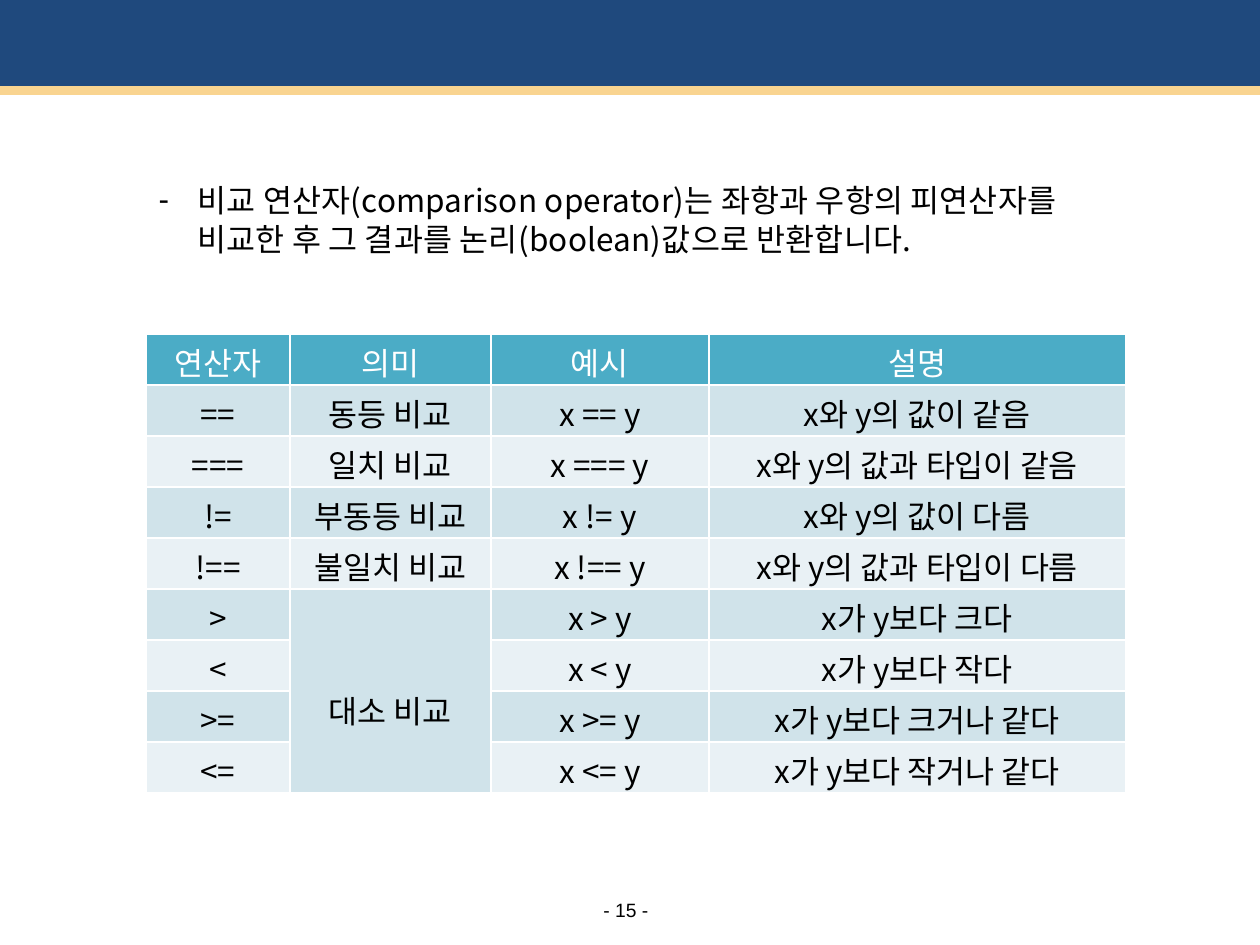
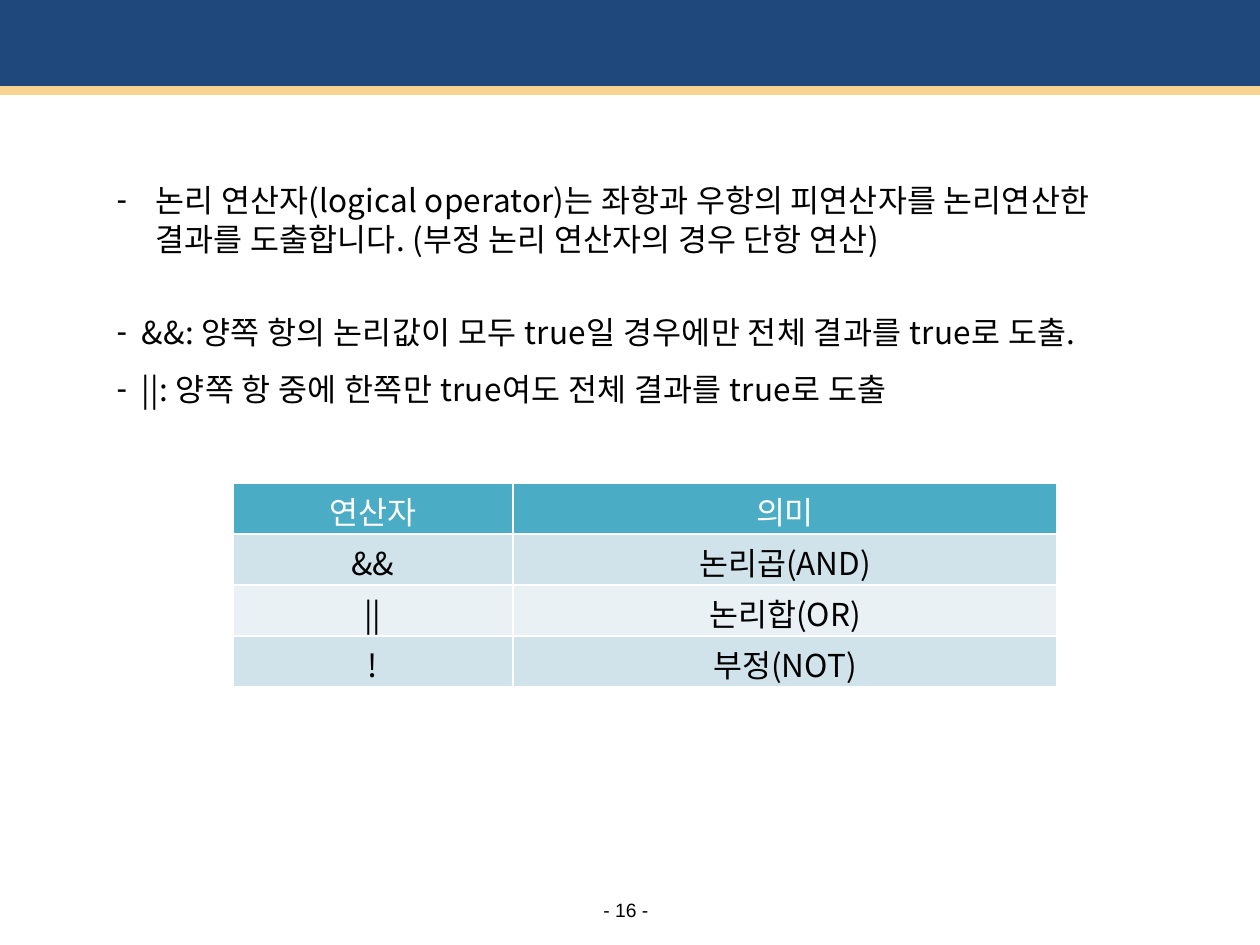
from dataclasses import dataclass

from lxml import etree
from pptx import Presentation
from pptx.dml.color import RGBColor
from pptx.enum.shapes import MSO_SHAPE
from pptx.enum.text import MSO_ANCHOR, MSO_AUTO_SIZE, PP_ALIGN
from pptx.oxml.ns import qn
from pptx.util import Emu, Pt

RECTANGLE = MSO_SHAPE.RECTANGLE
MIDDLE, TOP = MSO_ANCHOR.MIDDLE, MSO_ANCHOR.TOP
LEFT, CENTER = PP_ALIGN.LEFT, PP_ALIGN.CENTER
NO_AUTOFIT = MSO_AUTO_SIZE.NONE

PIXELS_PER_INCH = 126
SLIDE_WIDTH, SLIDE_HEIGHT = 1260, 945
TITLE_AND_CONTENT = 1
KOREAN_FONT, NUMBER_FONT = "Noto Sans CJK KR", "Arial"
TEXT_SIZE, LINE_HEIGHT = 18, 22
NAVY, GOLD = "1F497D", "F9D490"
TEAL, DARK_ROW, LIGHT_ROW = "4BACC6", "D0E3EA", "E9F1F5"
WHITE, BLACK = "FFFFFF", "000000"
ROW_HEIGHT = 51
CELL_TOP_MARGIN = 12
SPAN_TOP_MARGIN = 44


@dataclass(frozen=True)
class Box:
    left: int
    top: int
    width: int
    height: int


@dataclass(frozen=True)
class Band:
    box: Box
    color: str


@dataclass(frozen=True)
class Bullet:
    text: str
    indent: int = 39
    space_before: float = 0
    letter_spacing: int = 12


@dataclass(frozen=True)
class OperatorTable:
    left: int
    top: int
    column_widths: list[int]
    rows: list[list[str]]
    span: tuple[int, int, int] | None = None


@dataclass(frozen=True)
class OperatorSlide:
    number: int
    body_box: Box
    bullets: list[Bullet]
    table: OperatorTable


BANDS = [
    Band(Box(0, 0, SLIDE_WIDTH, 92), NAVY),
    Band(Box(0, 86, SLIDE_WIDTH, 9), GOLD),
]
NUMBER_BOX = Box(599, 898, 54, 24)

SLIDES = [
    OperatorSlide(
        15,
        Box(146, 174, 980, 90),
        [Bullet("비교 연산자(comparison operator)는 좌항과 우항의 피연산자를 "
                "비교한 후 그 결과를 논리(boolean)값으로 반환합니다.")],
        OperatorTable(
            146, 334, [144, 201, 218, 417],
            [
                ["연산자", "의미", "예시", "설명"],
                ["==", "동등 비교", "x == y", "x와 y의 값이 같음"],
                ["===", "일치 비교", "x === y", "x와 y의 값과 타입이 같음"],
                ["!=", "부동등 비교", "x != y", "x와 y의 값이 다름"],
                ["!==", "불일치 비교", "x !== y", "x와 y의 값과 타입이 다름"],
                [">", "대소 비교", "x > y", "x가 y보다 크다"],
                ["<", "", "x < y", "x가 y보다 작다"],
                [">=", "", "x >= y", "x가 y보다 크거나 같다"],
                ["<=", "", "x <= y", "x가 y보다 작거나 같다"],
            ],
            span=(5, 8, 1),
        ),
    ),
    OperatorSlide(
        16,
        Box(104, 174, 1080, 242),
        [
            Bullet("논리 연산자(logical operator)는 좌항과 우항의 피연산자를 논리연산한 "
                   "결과를 도출합니다. (부정 논리 연산자의 경우 단항 연산)"),
            Bullet("&&: 양쪽 항의 논리값이 모두 true일 경우에만 전체 결과를 true로 도출.",
                   25, 31.5, 20),
            Bullet("||: 양쪽 항 중에 한쪽만 true여도 전체 결과를 true로 도출",
                   25, 10.5, 20),
        ],
        OperatorTable(
            233, 483, [280, 544],
            [
                ["연산자", "의미"],
                ["&&", "논리곱(AND)"],
                ["||", "논리합(OR)"],
                ["!", "부정(NOT)"],
            ],
        ),
    ),
]


def px(length: int) -> Emu:
    return Emu(round(length * 914400 / PIXELS_PER_INCH))


def rgb(color: str) -> RGBColor:
    return RGBColor.from_string(color)


def edges(box: Box) -> tuple[Emu, Emu, Emu, Emu]:
    return px(box.left), px(box.top), px(box.width), px(box.height)


def add_run(paragraph, text: str, color: str, size: float = TEXT_SIZE,
            font_name: str = KOREAN_FONT, letter_spacing: int = 0) -> None:
    run = paragraph.add_run()
    run.text = text
    font = run.font
    font.size = Pt(size)
    font.bold = False
    font.color.rgb = rgb(color)
    font.name = font_name
    properties = run._r.get_or_add_rPr()
    properties.set("spc", str(letter_spacing))
    etree.SubElement(properties, qn("a:ea")).set("typeface", font_name)


def set_bullet(paragraph, character: str, indent: int) -> None:
    properties = paragraph._p.get_or_add_pPr()
    properties.set("marL", str(px(indent)))
    properties.set("indent", str(-px(indent)))
    etree.SubElement(properties, qn("a:buChar")).set("char", character)


def add_bands(slide) -> None:
    for band in BANDS:
        shape = slide.shapes.add_shape(RECTANGLE, *edges(band.box))
        shape.shadow.inherit = False
        shape.fill.solid()
        shape.fill.fore_color.rgb = rgb(band.color)
        shape.line.fill.background()


def remove_empty_title(slide) -> None:
    title = slide.shapes.title._element
    title.getparent().remove(title)


def write_body(slide, box: Box, bullets: list[Bullet]) -> None:
    body = slide.placeholders[1]
    body.left, body.top, body.width, body.height = edges(box)
    frame = body.text_frame
    frame.auto_size = NO_AUTOFIT
    frame.vertical_anchor = TOP
    for index, bullet in enumerate(bullets):
        paragraph = frame.add_paragraph() if index else frame.paragraphs[0]
        set_bullet(paragraph, "-", bullet.indent)
        paragraph.alignment = LEFT
        paragraph.line_spacing = Pt(LINE_HEIGHT)
        paragraph.space_before = Pt(bullet.space_before)
        add_run(paragraph, bullet.text, BLACK,
                letter_spacing=bullet.letter_spacing)


def set_borders(cell) -> None:
    properties = cell._tc.get_or_add_tcPr()
    for index, side in enumerate(("lnL", "lnR", "lnT", "lnB")):
        line = etree.Element(qn(f"a:{side}"), w=str(Pt(1)))
        fill = etree.SubElement(line, qn("a:solidFill"))
        etree.SubElement(fill, qn("a:srgbClr")).set("val", WHITE)
        properties.insert(index, line)


def format_cell(cell, text: str, row_index: int) -> None:
    is_header = row_index == 0
    row_color = DARK_ROW if row_index % 2 else LIGHT_ROW
    cell.fill.solid()
    cell.fill.fore_color.rgb = rgb(TEAL if is_header else row_color)
    set_borders(cell)
    cell.margin_top, cell.margin_bottom = px(CELL_TOP_MARGIN), 0
    paragraph = cell.text_frame.paragraphs[0]
    paragraph.alignment = CENTER
    paragraph.line_spacing = Pt(LINE_HEIGHT)
    if text:
        add_run(paragraph, text, WHITE if is_header else BLACK)


def add_operator_table(slide, content: OperatorTable) -> None:
    box = Box(content.left, content.top, sum(content.column_widths),
              ROW_HEIGHT * len(content.rows))
    table = slide.shapes.add_table(
        len(content.rows), len(content.column_widths), *edges(box)).table
    table.first_row = False
    table.horz_banding = False
    for column, width in zip(table.columns, content.column_widths):
        column.width = px(width)
    for row_index, texts in enumerate(content.rows):
        table.rows[row_index].height = px(ROW_HEIGHT)
        for column_index, text in enumerate(texts):
            format_cell(table.cell(row_index, column_index), text, row_index)
    if content.span:
        first_row, last_row, column_index = content.span
        cell = table.cell(first_row, column_index)
        cell.merge(table.cell(last_row, column_index))
        cell.vertical_anchor = MIDDLE
        cell.margin_top = px(SPAN_TOP_MARGIN)


def add_page_number(slide, number: int) -> None:
    frame = slide.shapes.add_textbox(*edges(NUMBER_BOX)).text_frame
    frame.margin_left = frame.margin_right = 0
    frame.margin_top = frame.margin_bottom = 0
    frame.vertical_anchor = MIDDLE
    paragraph = frame.paragraphs[0]
    paragraph.alignment = CENTER
    add_run(paragraph, f"- {number} -", BLACK, 11, NUMBER_FONT)


def build_slide(presentation, content: OperatorSlide) -> None:
    layout = presentation.slide_layouts[TITLE_AND_CONTENT]
    slide = presentation.slides.add_slide(layout)
    remove_empty_title(slide)
    add_bands(slide)
    write_body(slide, content.body_box, content.bullets)
    add_operator_table(slide, content.table)
    add_page_number(slide, content.number)


def main() -> None:
    presentation = Presentation()
    presentation.slide_width = px(SLIDE_WIDTH)
    presentation.slide_height = px(SLIDE_HEIGHT)
    for content in SLIDES:
        build_slide(presentation, content)
    presentation.save("out.pptx")


if __name__ == "__main__":
    main()
